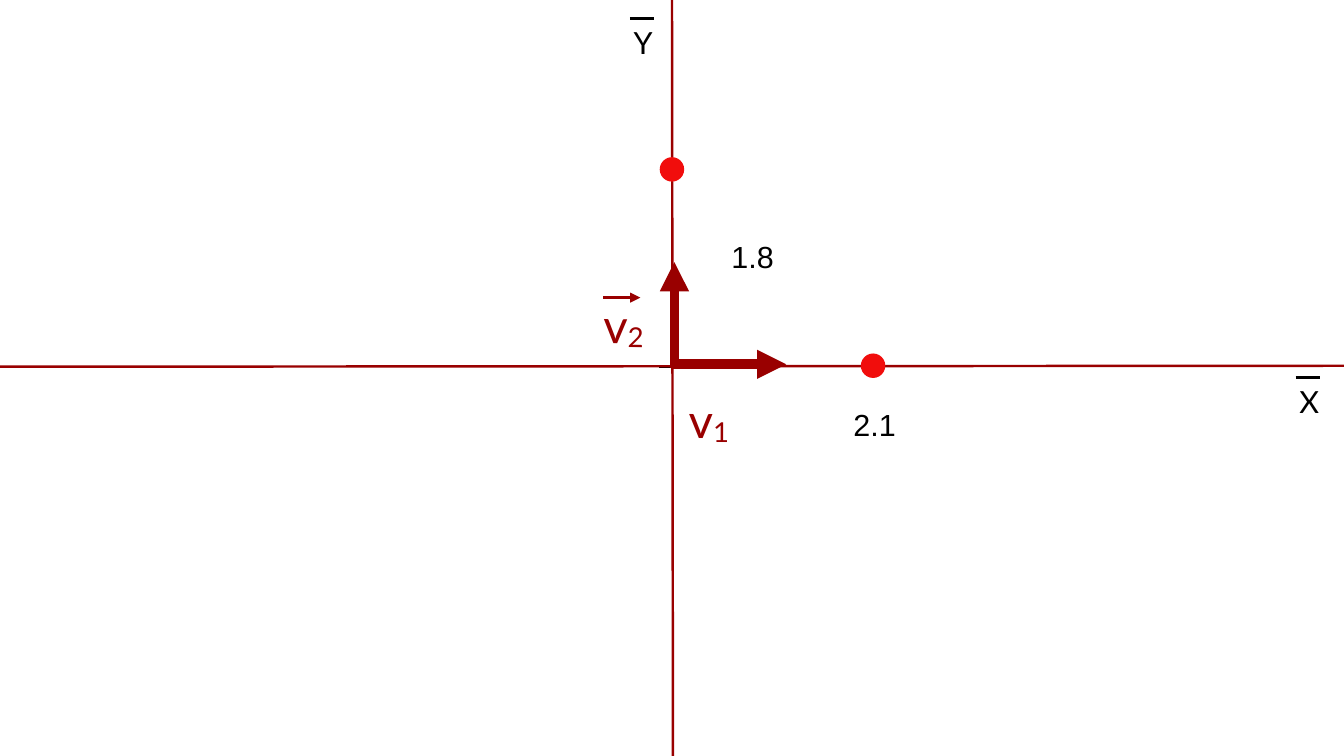
from lxml.etree import SubElement
from pptx import Presentation
from pptx.dml.color import RGBColor
from pptx.enum.shapes import MSO_CONNECTOR, MSO_SHAPE
from pptx.enum.text import MSO_AUTO_SIZE
from pptx.oxml.ns import qn
from pptx.util import Cm, Pt

WIDTH, HEIGHT = 28, 15.75
COLORS = {"axis": "990000", "dot": "F10D0C", "text": "000000"}


class VectorSlide:
    thin, thick, hairline = 1.45, 5.75, 0
    label_size, vector_size = 18, 28
    dot_size = 0.51
    bar_inset, bar_width = 0.17, 0.51

    def __init__(self, slide):
        self.slide = slide

    def line(self, start, end, width, color="axis", arrow=False):
        connector = self.slide.shapes.add_connector(
            MSO_CONNECTOR.STRAIGHT, *map(Cm, (*start, *end)))
        connector.line.width = Pt(width)
        connector.line.color.rgb = RGBColor.from_string(COLORS[color])
        if arrow:
            SubElement(connector.line._get_or_add_ln(), qn("a:tailEnd"), type="triangle")
        SubElement(connector._element.spPr, qn("a:effectLst"))

    def dot(self, center_x, center_y):
        radius = self.dot_size / 2
        shape = self.slide.shapes.add_shape(
            MSO_SHAPE.OVAL, Cm(center_x - radius), Cm(center_y - radius),
            Cm(self.dot_size), Cm(self.dot_size))
        shape.shadow.inherit = False
        shape.fill.solid()
        shape.fill.fore_color.rgb = RGBColor.from_string(COLORS["dot"])
        shape.line.fill.background()

    def text(self, text, left, top, width, height, font_name, size, color="text", wrap=True):
        box = self.slide.shapes.add_textbox(*map(Cm, (left, top, width, height)))
        frame = box.text_frame
        frame.word_wrap = wrap
        frame.auto_size = MSO_AUTO_SIZE.SHAPE_TO_FIT_TEXT
        frame.text = text
        run = frame.paragraphs[0].runs[0]
        self.format_run(run, font_name, size, color)
        return box

    def format_run(self, run, font_name, size, color):
        run.font.name = font_name
        run.font.size = Pt(size)
        run.font.color.rgb = RGBColor.from_string(COLORS[color])

    def value(self, text, left, top):
        self.text(text, left, top, 1.4, 0.97, "Arial", self.label_size, wrap=False)

    def axis_name(self, text, left, top):
        """Axis letter with a bar above it."""
        self.text(text, left, top, 1.02, 1.02, "Lato", self.label_size)
        bar_left = left + self.bar_inset
        self.line((bar_left, top), (bar_left + self.bar_width, top), self.hairline, "text")

    def vector_name(self, index, left, top, rotation):
        """Letter v with a lowered index."""
        box = self.text("v", left, top, 1.42, 1.52, "Lato", self.vector_size, "axis")
        box.rotation = rotation
        run = box.text_frame.paragraphs[0].add_run()
        run.text = index
        self.format_run(run, "Lato", self.vector_size, "axis")
        run.font._element.set("baseline", "-8000")


def main():
    presentation = Presentation()
    presentation.slide_width, presentation.slide_height = Cm(WIDTH), Cm(HEIGHT)
    plot = VectorSlide(presentation.slides.add_slide(presentation.slide_layouts[6]))

    plot.line((14.02, HEIGHT), (14, 0), plot.thin)
    plot.dot(14, 3.53)
    plot.axis_name("Y", 12.95, 0.38)
    plot.value("1.8", 14.99, 4.83)
    plot.line((13.72, 7.65), (14.43, 7.65), plot.thin, "text")
    plot.line((14.05, 7.67), (14.05, 5.46), plot.thick, arrow=True)
    plot.vector_name("2", 12.32, 6.05, 0.7)
    plot.line((12.57, 6.2), (13.34, 6.2), plot.hairline, arrow=True)

    plot.line((0, 7.64), (WIDTH, 7.62), plot.thin)
    plot.axis_name("X", 26.82, 7.86)
    plot.dot(18.19, 7.62)
    plot.value("2.1", 17.53, 8.33)
    plot.line((13.97, 7.59), (16.38, 7.59), plot.thick, arrow=True)
    plot.vector_name("1", 14.1, 8.03, 0.1)

    presentation.save("out.pptx")


if __name__ == "__main__":
    main()
